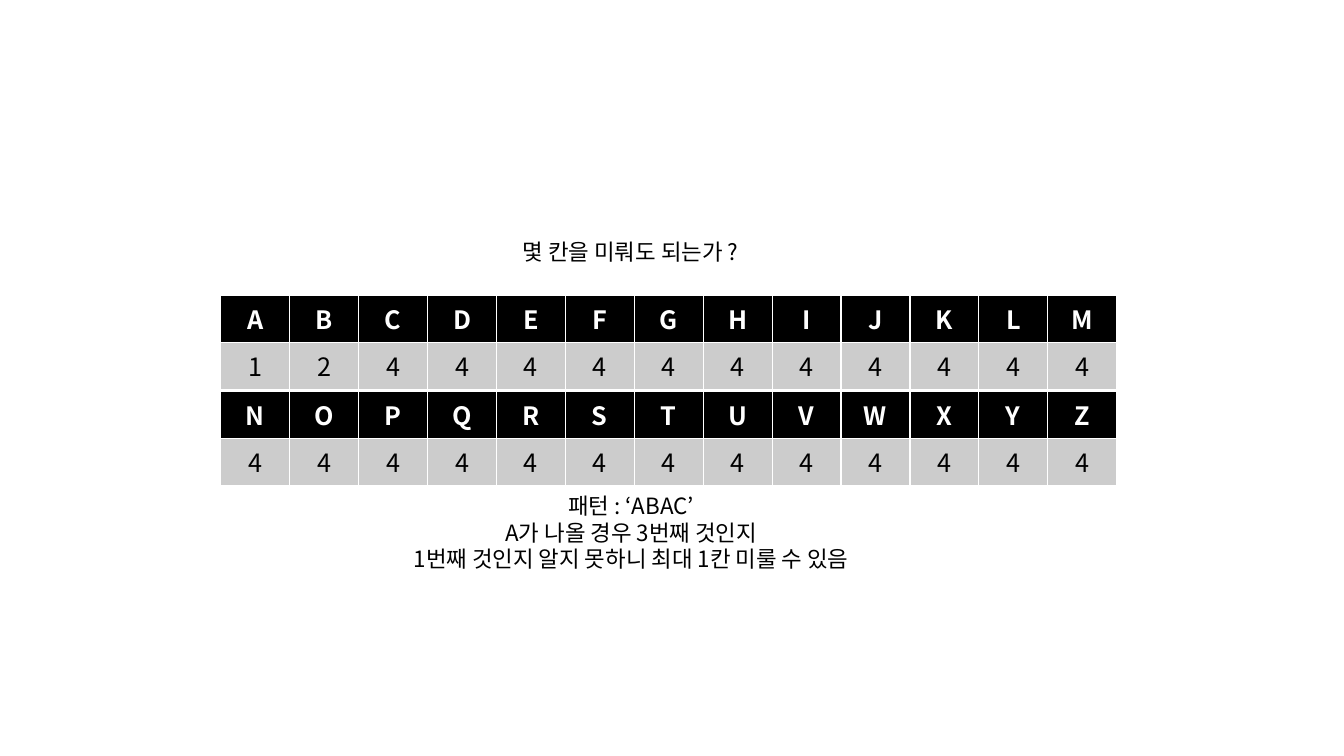
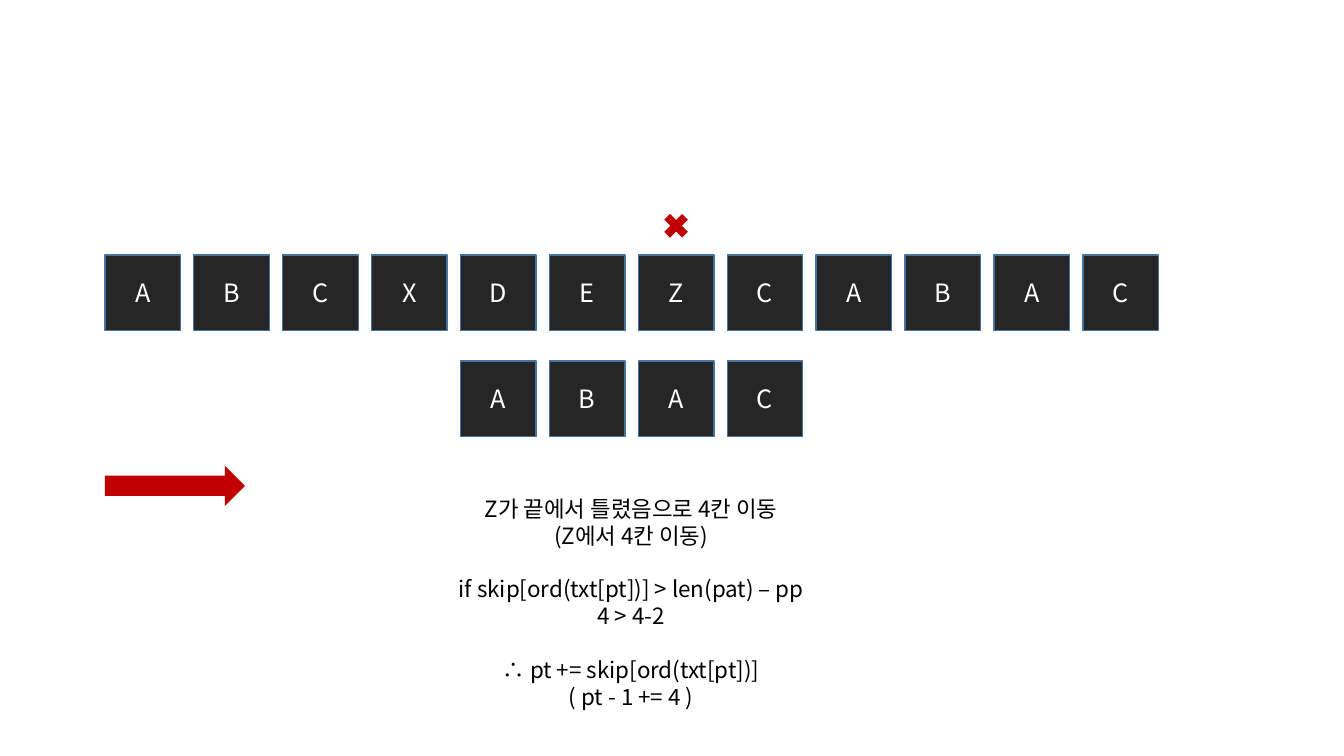
from dataclasses import dataclass

from lxml.etree import SubElement
from pptx import Presentation
from pptx.dml.color import RGBColor
from pptx.enum.shapes import MSO_SHAPE as Shape
from pptx.enum.text import MSO_ANCHOR as Anchor, PP_ALIGN as Align
from pptx.oxml.ns import qn
from pptx.util import Inches, Pt

COLORS = {
    "black": "000000",
    "white": "FFFFFF",
    "count": "CCCCCC",
    "box": "262626",
    "outline": "43739E",
    "mark": "C00000",
}
FONT = "Noto Sans CJK KR"
LINE_HEIGHT = Pt(19.2)
BOX_SIZE = 0.75
BOX_LEFT = 1.04
BOX_STEP = (10.74 - BOX_LEFT) / 11
CROSS_SIZE = 0.34
MISMATCH = 6
TEXT_FORMAT = {"size": Pt(16), "bold": False}
CELL_FORMAT = {"size": Pt(18), "bold": False}
HEADER_FORMAT = {"size": Pt(18), "bold": True}


@dataclass(frozen=True)
class SkipTable:
    top: float
    letters: str
    counts: str


@dataclass(frozen=True)
class BoxRow:
    top: float
    start: int
    letters: str


@dataclass(frozen=True)
class Note:
    top: float
    height: float
    groups: tuple[tuple[str, ...], ...]


SKIP_TABLES = (
    SkipTable(2.93, "ABCDEFGHIJKLM", "12" + "4" * 11),
    SkipTable(3.88, "NOPQRSTUVWXYZ", "4" * 13),
)
BOX_ROWS = (BoxRow(2.53, 0, "ABCXDEZCABAC"), BoxRow(3.58, 4, "ABAC"))
PATTERN_NOTE = Note(4.83, 0.91, ((
    "패턴 : ‘ABAC’",
    "A가 나올 경우 3번째 것인지",
    "1번째 것인지 알지 못하니 최대 1칸 미룰 수 있음",
),))
MOVE_NOTE = Note(4.86, 2.26, (
    ("Z가 끝에서 틀렸음으로 4칸 이동", "(Z에서 4칸 이동)"),
    ("if skip[ord(txt[pt])] > len(pat) – pp", "4 > 4-2"),
    ("∴ pt += skip[ord(txt[pt])]", "( pt - 1 += 4 )"),
))


def rgb(name: str) -> RGBColor:
    return RGBColor.from_string(COLORS[name])


def write(p, text: str, color: str, formats: dict) -> None:
    p.alignment = Align.CENTER
    r = p.add_run()
    r.text = text
    r.font.name = FONT
    for key, value in formats.items():
        setattr(r.font, key, value)
    r.font.color.rgb = rgb(color)
    SubElement(r._r.get_or_add_rPr(), qn("a:ea"), typeface=FONT)


def add_title(s, text: str) -> None:
    sp = s.shapes.title
    place = {"left": 4, "top": 2.31, "width": 4.51, "height": 0.37}
    for key, value in place.items():
        setattr(sp, key, Inches(value))
    tf = sp.text_frame
    tf.vertical_anchor = Anchor.TOP
    p = tf.paragraphs[0]
    p.line_spacing = LINE_HEIGHT
    write(p, text, "black", TEXT_FORMAT)


def add_note(s, note: Note) -> None:
    sp = s.shapes.add_textbox(Inches(1.92), Inches(note.top), Inches(8.68), Inches(note.height))
    tf = sp.text_frame
    tf.word_wrap = True
    p = tf.paragraphs[0]
    for g, group in enumerate(note.groups):
        for i, line in enumerate(group):
            if g or i:
                p = tf.add_paragraph()
            p.line_spacing = LINE_HEIGHT
            p.space_before = LINE_HEIGHT if g and not i else Pt(0)
            write(p, line, "black", TEXT_FORMAT)


def add_skip_table(s, skip: SkipTable) -> None:
    table = s.shapes.add_table(
        2, len(skip.letters), Inches(2.19), Inches(skip.top), Inches(8.89), Inches(0.94)
    ).table
    rows = (
        (skip.letters, "black", "white", HEADER_FORMAT),
        (skip.counts, "count", "black", CELL_FORMAT),
    )
    for i, (values, fill, color, formats) in enumerate(rows):
        for j, value in enumerate(values):
            cell = table.cell(i, j)
            cell.fill.solid()
            cell.fill.fore_color.rgb = rgb(fill)
            write(cell.text_frame.paragraphs[0], value, color, formats)


def add_filled(s, kind: Shape, left: float, top: float, width: float, height: float, fill: str):
    sp = s.shapes.add_shape(kind, Inches(left), Inches(top), Inches(width), Inches(height))
    sp.shadow.inherit = False
    sp.fill.solid()
    sp.fill.fore_color.rgb = rgb(fill)
    sp.line.fill.background()
    return sp


def box_left(column: int) -> float:
    return BOX_LEFT + column * BOX_STEP


def add_box_row(s, row: BoxRow) -> None:
    for column, letter in enumerate(row.letters, row.start):
        sp = add_filled(s, Shape.RECTANGLE, box_left(column), row.top, BOX_SIZE, BOX_SIZE, "box")
        sp.line.color.rgb = rgb("outline")
        sp.line.width = Pt(1)
        tf = sp.text_frame
        tf.vertical_anchor = Anchor.MIDDLE
        write(tf.paragraphs[0], letter, "white", CELL_FORMAT)


def build_skip_slide(prs) -> None:
    s = prs.slides.add_slide(prs.slide_layouts.get_by_name("Title Only"))
    add_title(s, "몇 칸을 미뤄도 되는가 ?")
    for skip in SKIP_TABLES:
        add_skip_table(s, skip)
    add_note(s, PATTERN_NOTE)


def build_move_slide(prs) -> None:
    s = prs.slides.add_slide(prs.slide_layouts.get_by_name("Blank"))
    for row in BOX_ROWS:
        add_box_row(s, row)
    add_filled(s, Shape.RIGHT_ARROW, BOX_LEFT, 4.62, 1.39, 0.4, "mark")
    cross_left = box_left(MISMATCH) + (BOX_SIZE - CROSS_SIZE) / 2
    add_filled(s, Shape.MATH_MULTIPLY, cross_left, 2.07, CROSS_SIZE, CROSS_SIZE, "mark")
    add_note(s, MOVE_NOTE)


def main() -> None:
    prs = Presentation()
    prs.slide_width = Inches(13.33)
    prs.slide_height = Inches(7.5)
    build_skip_slide(prs)
    build_move_slide(prs)
    prs.save("out.pptx")


if __name__ == "__main__":
    main()
